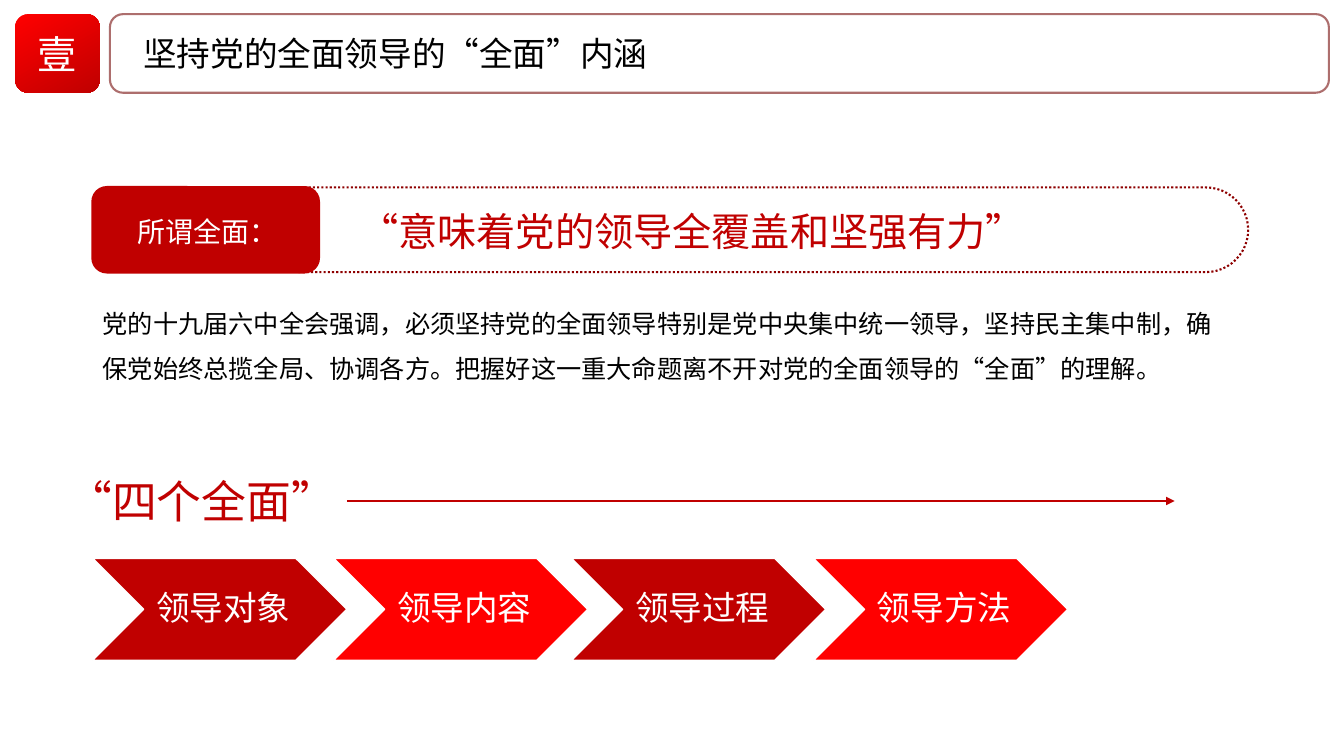
from lxml import etree
from pptx import Presentation
from pptx.dml.color import RGBColor
from pptx.enum.dml import MSO_LINE
from pptx.enum.lang import MSO_LANGUAGE_ID
from pptx.enum.shapes import MSO_CONNECTOR, MSO_SHAPE
from pptx.enum.text import MSO_ANCHOR, MSO_AUTO_SIZE, PP_ALIGN
from pptx.oxml.ns import qn
from pptx.util import Pt

PX = 9144  # EMU per px, 100 px to the inch
ROUND, CHEVRON = MSO_SHAPE.ROUNDED_RECTANGLE, MSO_SHAPE.CHEVRON
STRAIGHT, DOTS = MSO_CONNECTOR.STRAIGHT, MSO_LINE.ROUND_DOT
LEFT, CENTER = PP_ALIGN.LEFT, PP_ALIGN.CENTER
TOP, MIDDLE = MSO_ANCHOR.TOP, MSO_ANCHOR.MIDDLE
GROW = MSO_AUTO_SIZE.SHAPE_TO_FIT_TEXT
CHINESE = MSO_LANGUAGE_ID.SIMPLIFIED_CHINESE

RED = RGBColor(0xFF, 0x00, 0x00)
DARK = RGBColor(0xC0, 0x00, 0x00)
MAROON = RGBColor(0x8E, 0x00, 0x00)
BROWN = RGBColor(0x8B, 0x31, 0x30)
WHITE = RGBColor(0xFF, 0xFF, 0xFF)
BLACK = RGBColor(0x00, 0x00, 0x00)


def fade(fill, percent):
    """Set the opacity of a solid fill, or of a line's fill."""
    clr = fill._xPr.find(qn("a:solidFill"))[0]
    etree.SubElement(clr, qn("a:alpha")).set("val", str(percent * 1000))


class Page:
    font = "Noto Sans CJK JP"
    serial = "Noto Sans CJK SC"

    def __init__(self, deck):
        self.slide = deck.slides.add_slide(deck.slide_layouts[5])
        self.shapes = self.slide.shapes

    def words(self, frame, text, size, color, align=LEFT, space=None, font=None):
        para = frame.paragraphs[0]
        para.alignment = align
        if space:
            para.line_spacing = space
        run = para.add_run()
        run.text = text
        style = run.font
        style.size, style.name = Pt(size), font or self.font
        style.color.rgb = color
        style.language_id = CHINESE
        east = etree.SubElement(run._r.rPr, qn("a:ea"))
        east.set("typeface", style.name)

    def title(self, box, text, size, color):
        shape = self.shapes.title
        shape.left, shape.top, shape.width, shape.height = [v * PX for v in box]
        frame = shape.text_frame
        frame.word_wrap, frame.auto_size = True, GROW
        frame.vertical_anchor = TOP
        self.words(frame, text, size, color)
        self.shapes.element.append(shape.element)  # bring to front

    def text(self, box, text, size, color, **look):
        frame = self.shapes.add_textbox(*[v * PX for v in box]).text_frame
        frame.word_wrap, frame.auto_size = True, GROW
        self.words(frame, text, size, color, **look)

    def shape(self, kind, box, fill=None, line=None, width=1):
        shape = self.shapes.add_shape(kind, *[v * PX for v in box])
        shape.shadow.inherit = False
        if fill is None:
            shape.fill.background()
        else:
            shape.fill.solid()
            shape.fill.fore_color.rgb = fill
        if line is None:
            shape.line.fill.background()
        else:
            shape.line.color.rgb = line
            shape.line.width = Pt(width)
        return shape

    def step(self, box, text, fill):
        shape = self.shape(CHEVRON, box, fill, WHITE)
        frame = shape.text_frame
        frame.vertical_anchor = MIDDLE
        frame.margin_left = 11 * PX
        frame.margin_right = frame.margin_top = frame.margin_bottom = 4 * PX
        self.words(frame, text, 24, WHITE, CENTER, 0.9)

    def arrow(self, left, right, y, color):
        link = self.shapes.add_connector(
            STRAIGHT, left * PX, y * PX, right * PX, y * PX)
        link.line.color.rgb = color
        link.line.width = Pt(2)
        props = link.element.spPr
        head = etree.SubElement(props.find(qn("a:ln")), qn("a:tailEnd"))
        head.set("type", "triangle")
        etree.SubElement(props, qn("a:effectLst"))


def main():
    deck = Presentation()
    deck.slide_width, deck.slide_height = 1333 * PX, 750 * PX
    page = Page(deck)

    # Dotted pill behind the statement
    pill = page.shape(ROUND, (255, 186, 983, 84), None, MAROON, 1.5)
    pill.adjustments[0] = 0.5
    pill.line.dash_style = DOTS

    # Header: numbered badge, frame and title
    badge = page.shape(ROUND, (15, 14, 84, 78), RED)
    badge.fill.gradient()
    badge.fill.gradient_angle = 300
    for stop, color in zip(badge.fill.gradient_stops, (RED, DARK)):
        stop.color.rgb = color
    frame = page.shape(ROUND, (109, 14, 1209, 78), WHITE, BROWN, 1.5)
    fade(frame.fill, 50)
    fade(frame.line.fill, 70)
    page.text((22, 25, 69, 57), "壹", 28, WHITE, align=CENTER, font=page.serial)
    page.title((132, 28, 926, 50), "坚持党的全面领导的“全面”内涵", 24, BLACK)

    # Explanation
    page.text((92, 286, 1143, 146),
              "党的十九届六中全会强调，必须坚持党的全面领导特别是党中央集中统一领导，"
              "坚持民主集中制，确保党始终总揽全局、协调各方。"
              "把握好这一重大命题离不开对党的全面领导的“全面”的理解。",
              18, BLACK, space=1.5)

    # Statement with its label
    page.shape(ROUND, (92, 186, 224, 84), DARK, DARK, 2)
    page.text((113, 208, 186, 44), "所谓全面：", 20, WHITE, align=CENTER)
    page.text((294, 201, 785, 57), "“意味着党的领导全覆盖和坚强有力”", 28, DARK, align=CENTER)

    # Four steps under an arrow
    page.text((57, 465, 357, 64), "“四个全面”", 32, DARK)
    steps = ((92, "领导对象", DARK), (331, "领导内容", RED),
             (567, "领导过程", DARK), (807, "领导方法", RED))
    for left, text, fill in steps:
        page.step((left, 554, 252, 101), text, fill)
    page.arrow(344, 1165, 497, DARK)

    deck.save("out.pptx")


if __name__ == "__main__":
    main()
